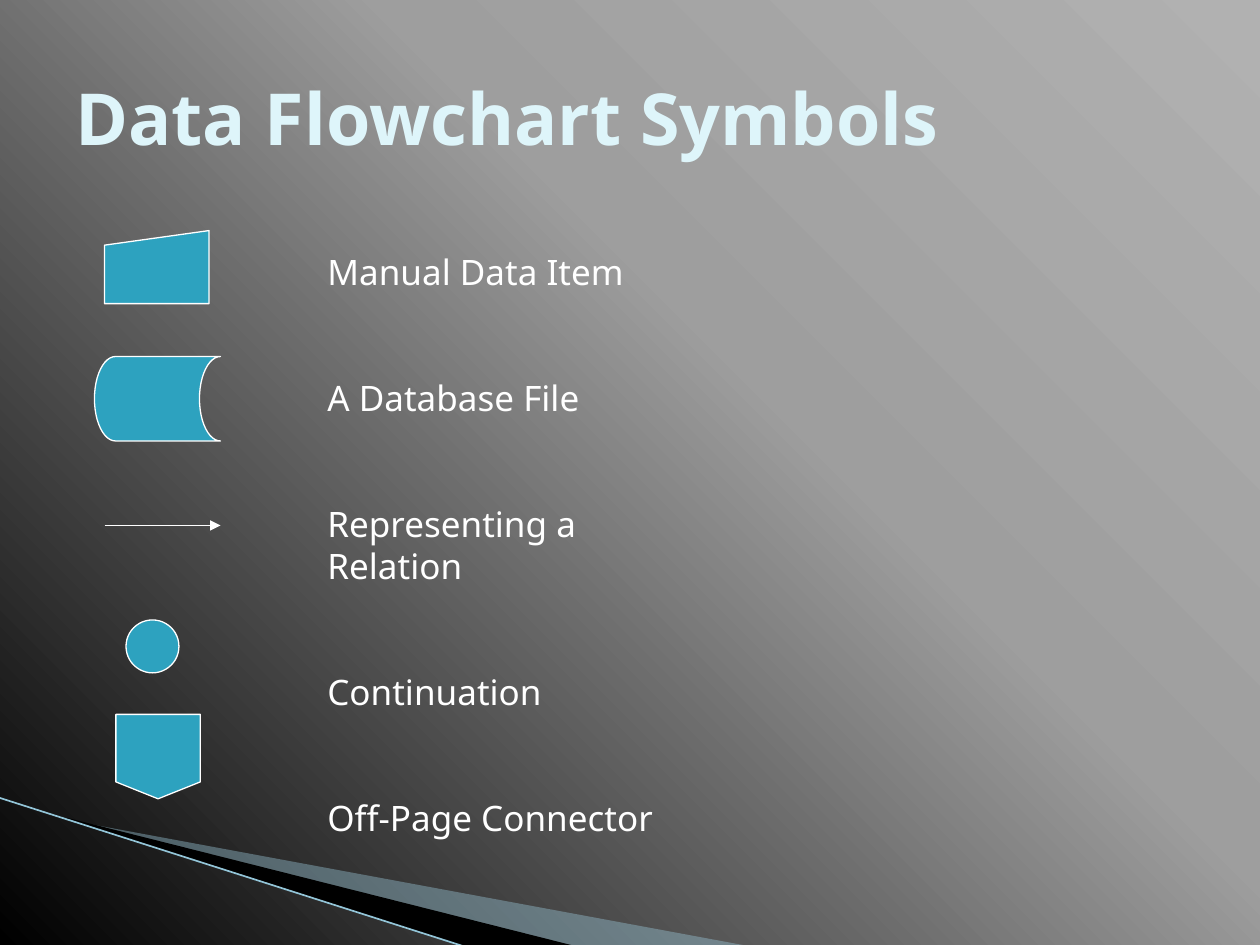
from lxml import etree
from pptx import Presentation
from pptx.dml.color import RGBColor
from pptx.enum.shapes import MSO_CONNECTOR, MSO_SHAPE
from pptx.enum.text import MSO_ANCHOR
from pptx.oxml import parse_xml
from pptx.oxml.ns import nsdecls, qn
from pptx.util import Inches, Pt

FONT = "Noto Sans"
WHITE = "FFFFFF"
TEAL = "2DA2BF"
SYMBOLS = [
    (MSO_SHAPE.FLOWCHART_MANUAL_INPUT, 0.83, 1.83, 0.83, 0.58),
    (MSO_SHAPE.FLOWCHART_STORED_DATA, 0.75, 2.83, 1, 0.67),
    (MSO_SHAPE.FLOWCHART_CONNECTOR, 1, 4.92, 0.42, 0.42),
    (MSO_SHAPE.FLOWCHART_OFFPAGE_CONNECTOR, 0.92, 5.67, 0.67, 0.67),
]
MEANINGS = [
    "Manual Data Item",
    "A Database File",
    "Representing a Relation",
    "Continuation",
    "Off-Page Connector",
]


def color(value):
    """Turn a hex string into a colour."""
    return RGBColor.from_string(value)


def set_background(slide, stops):
    """Fill the background with a gradient spreading from the top right corner."""
    stop_xml = "".join(
        f'<a:gs pos="{percent * 1000}"><a:srgbClr val="{value}"/></a:gs>'
        for percent, value in stops
    )
    background = parse_xml(
        f'<p:bg {nsdecls("p", "a")}><p:bgPr><a:gradFill rotWithShape="1">'
        f'<a:gsLst>{stop_xml}</a:gsLst><a:path path="circle">'
        '<a:fillToRect l="100000" t="0" r="0" b="100000"/></a:path>'
        "</a:gradFill><a:effectLst/></p:bgPr></p:bg>"
    )
    slide.element.cSld.insert(0, background)


def add_wedge(slide, points, fill, opacity=100):
    """Add a filled sliver without an outline."""
    corners = [(Inches(x), Inches(y)) for x, y in points]
    builder = slide.shapes.build_freeform(*corners[0])
    builder.add_line_segments(corners[1:])
    wedge = builder.convert_to_shape()
    wedge.shadow.inherit = False
    wedge.fill.solid()
    wedge.fill.fore_color.rgb = color(fill)
    wedge.line.fill.background()
    if opacity < 100:
        tint = wedge.fill._xPr.find(".//" + qn("a:srgbClr"))
        etree.SubElement(tint, qn("a:alpha")).set("val", str(opacity * 1000))


def add_line(slide, start, end, stroke, width, arrow=False):
    """Add a straight line, with an arrowhead at its end if wanted."""
    line = slide.shapes.add_connector(
        MSO_CONNECTOR.STRAIGHT, *map(Inches, start + end)
    )
    line.line.color.rgb = color(stroke)
    line.line.width = Pt(width)
    if arrow:
        etree.SubElement(line.line._get_or_add_ln(), qn("a:tailEnd")).set(
            "type", "triangle"
        )
    etree.SubElement(line._element.spPr, qn("a:effectLst"))


def add_symbol(slide, kind, left, top, width, height):
    """Add one flowchart symbol."""
    symbol = slide.shapes.add_shape(kind, *map(Inches, (left, top, width, height)))
    symbol.shadow.inherit = False
    symbol.fill.solid()
    symbol.fill.fore_color.rgb = color(TEAL)
    symbol.line.color.rgb = color(WHITE)
    symbol.line.width = Pt(0.75)


def add_text(slide, box, lines, size, fill, bold=False, anchor=MSO_ANCHOR.TOP,
             line_height=None, gap=0):
    """Add a text box with one paragraph per line."""
    frame = slide.shapes.add_textbox(*map(Inches, box)).text_frame
    frame.word_wrap = True
    frame.vertical_anchor = anchor
    for index, line in enumerate(lines):
        paragraph = frame.add_paragraph() if index else frame.paragraphs[0]
        paragraph.text = line
        paragraph.font.name = FONT
        paragraph.font.size = Pt(size)
        paragraph.font.bold = bold
        paragraph.font.color.rgb = color(fill)
        if line_height:
            paragraph.line_spacing = Pt(line_height)
        if index and gap:
            paragraph.space_before = Pt(gap)


def main():
    """Build the slide of flowchart symbols."""
    deck = Presentation()
    deck.slide_width, deck.slide_height = Inches(10), Inches(7.5)
    slide = deck.slides.add_slide(deck.slide_layouts[6])

    set_background(slide, [(0, "B1B1B1"), (40, "9E9E9E"), (100, "000000")])
    add_wedge(slide, [(0.55, 6.51), (5.95, 7.51), (4.56, 7.51), (0.55, 6.5)],
              "9CCADC", opacity=40)
    add_wedge(slide, [(0.53, 6.49), (4.57, 7.51), (3.72, 7.52), (0.54, 6.5)],
              "000000")
    add_line(slide, (-0.01, 6.33), (3.71, 7.52), "93C5D8", 0.95)

    add_text(slide, (0.5, 0.3, 9, 1.25), ["Data Flowchart Symbols"], 41, "DEF5FA",
             bold=True, anchor=MSO_ANCHOR.MIDDLE)
    add_text(slide, (2.5, 1.94, 2.87, 4.43), MEANINGS, 20, WHITE,
             line_height=24, gap=48)

    add_line(slide, (0.83, 4.17), (1.75, 4.17), WHITE, 0.75, arrow=True)
    for symbol in SYMBOLS:
        add_symbol(slide, *symbol)

    deck.save("out.pptx")


if __name__ == "__main__":
    main()
